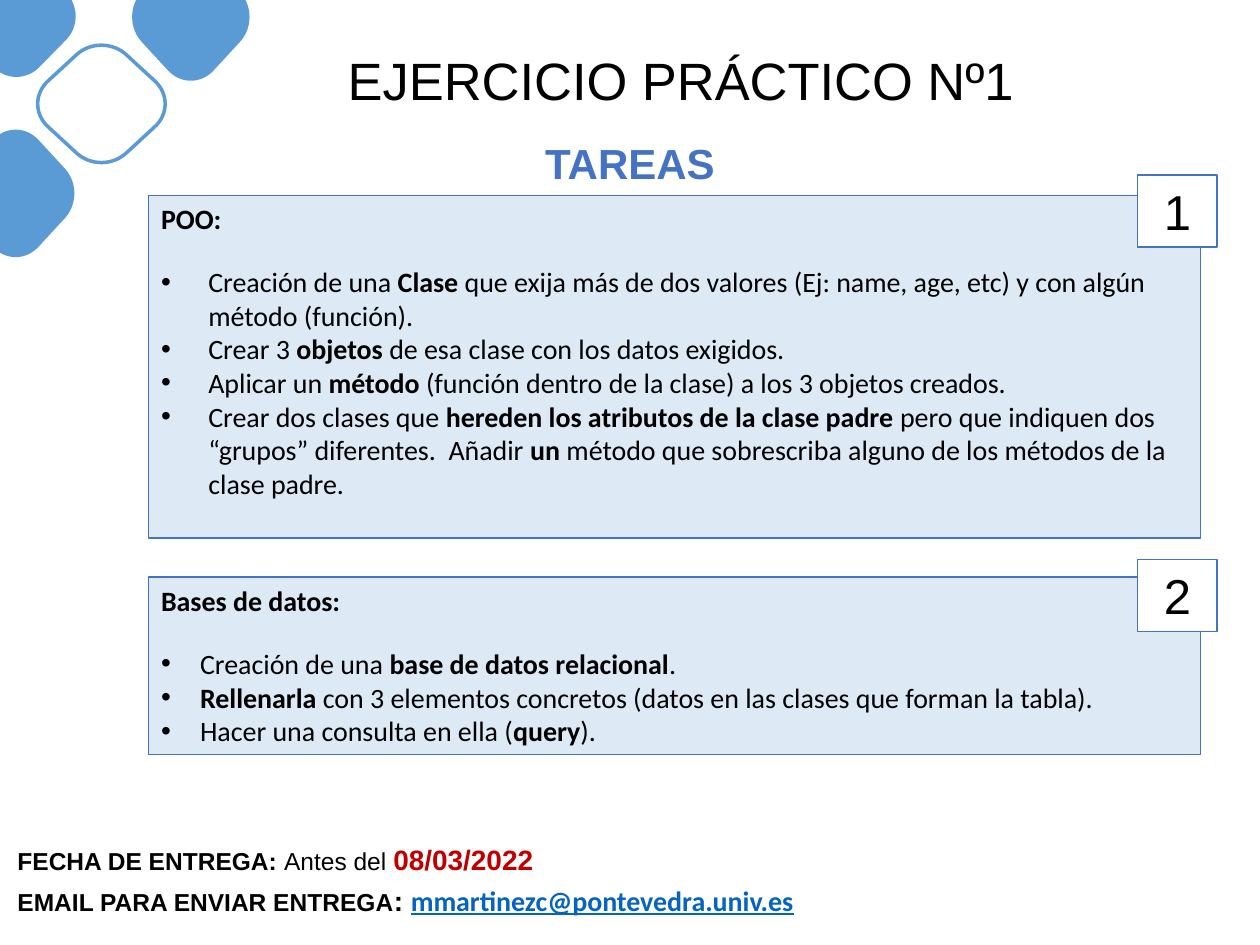
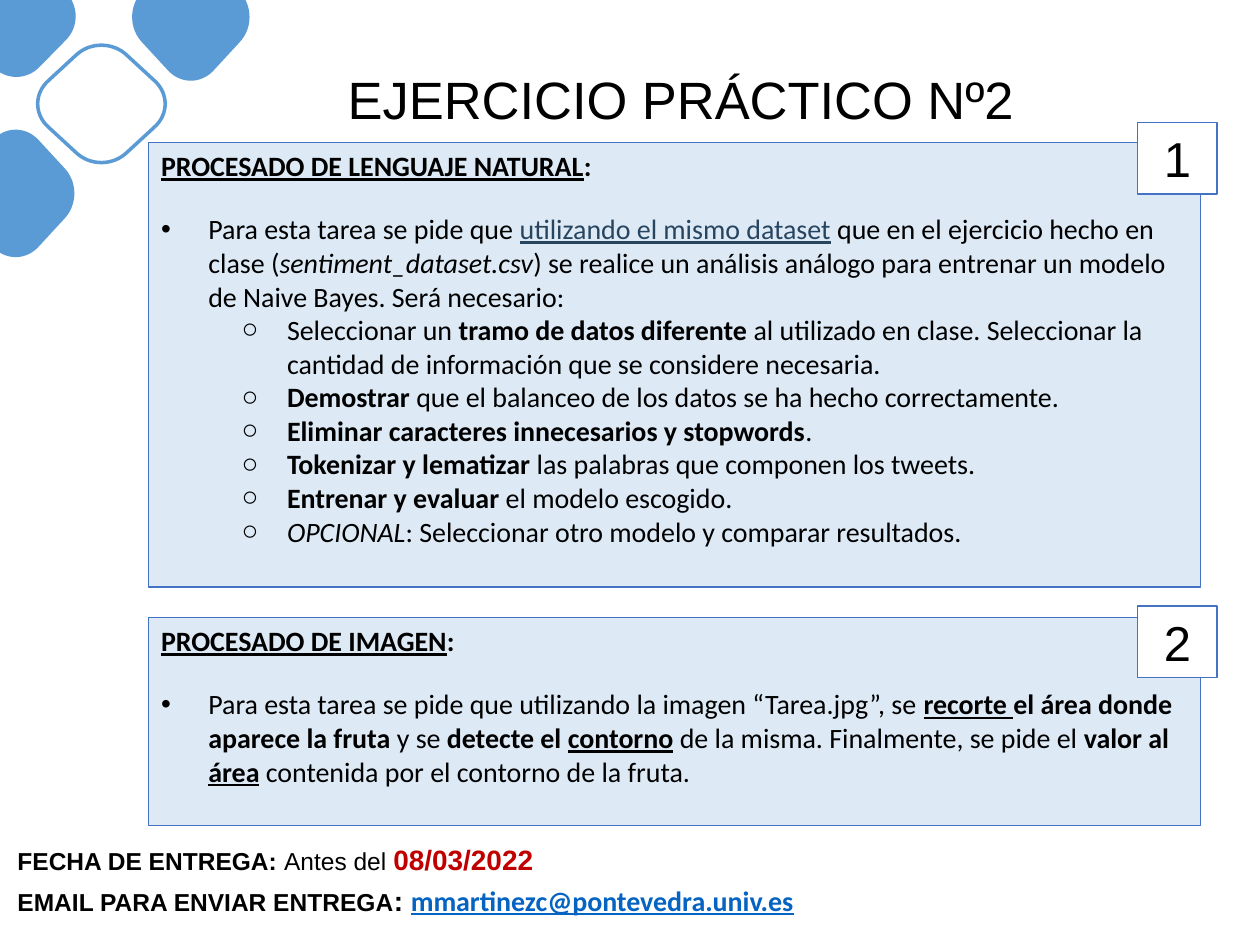
from dataclasses import dataclass
from typing import NamedTuple, Optional

from lxml.etree import SubElement
from pptx import Presentation
from pptx.dml.color import RGBColor
from pptx.enum.shapes import MSO_SHAPE
from pptx.enum.text import MSO_ANCHOR, PP_ALIGN
from pptx.oxml.ns import qn
from pptx.shapes.autoshape import Shape
from pptx.slide import Slide
from pptx.text.text import TextFrame
from pptx.util import Inches, Pt


@dataclass(frozen=True)
class Theme:
    heading_font: str = "Arial"
    body_font: str = "Calibri"
    black: str = "000000"
    white: str = "FFFFFF"
    petal: str = "5B9BD5"
    accent: str = "4472C4"
    panel: str = "DDEAF6"
    deadline: str = "C00000"
    email: str = "0563C1"
    dataset: str = "284560"
    title_size: int = 30
    badge_size: int = 28
    subtitle_size: int = 24
    body_size: int = 16
    footer_size: int = 14
    heading_gap: int = 17
    outline: float = 0.75
    petal_outline: float = 2


THEME = Theme()


class Box(NamedTuple):
    left: float
    top: float
    width: float
    height: float


class Run(NamedTuple):
    text: str
    bold: Optional[bool] = None
    italic: Optional[bool] = None
    underline: Optional[bool] = None
    color: Optional[str] = None
    size: Optional[int] = None
    font: Optional[str] = None


class Bullet(NamedTuple):
    symbol: str
    margin: float
    hanging: float
    level: int = 0


class Style(NamedTuple):
    size: int
    font: str = THEME.heading_font
    color: str = THEME.black
    bold: bool = False
    align: PP_ALIGN = PP_ALIGN.LEFT
    bullet: Optional[Bullet] = None
    line_spacing: Optional[float] = None
    space_after: float = 0


class Petal(NamedTuple):
    box: Box
    filled: bool = True


class Item(NamedTuple):
    runs: list[Run]
    bullet: Bullet


class Task(NamedTuple):
    heading: list[Run]
    items: list[Item]
    top: float
    height: float
    badge_top: float


class Exercise(NamedTuple):
    title: str
    title_top: float
    tasks: list[Task]
    subtitle: Optional[str] = None


def bold(text: str, underline: Optional[bool] = None) -> Run:
    return Run(text, bold=True, underline=underline)


# Text styles and bullets
DOT = Bullet("•", 3 / 8, 3 / 8)
NARROW_DOT = Bullet("•", 0.31, 0.31)
CIRCLE = Bullet("○", 1, 0.36, level=1)
TITLE = Style(THEME.title_size, align=PP_ALIGN.CENTER, line_spacing=0.9)
SUBTITLE = Style(THEME.subtitle_size, color=THEME.accent, bold=True, align=PP_ALIGN.CENTER)
BADGE = Style(THEME.badge_size, align=PP_ALIGN.CENTER)
FOOTER = Style(THEME.footer_size, bold=True)
TASK_HEADING = Style(THEME.body_size, THEME.body_font, bold=True, space_after=THEME.heading_gap)
TASK_ITEM = Style(THEME.body_size, THEME.body_font)

# Shared decoration and footer
BACKING = Box(0.48, 0.55, 0.8, 0.16)
PETALS = [
    Petal(Box(-0.34, 1.03, 0.93, 1.01)),
    Petal(Box(0.3, 0.36, 1.01, 0.93), filled=False),
    Petal(Box(1.05, -0.37, 0.93, 1.01)),
    Petal(Box(-0.34, -0.35, 0.94, 0.96)),
]
# Top corner of a petal, in units of its half width and half height from its centre
PETAL_CORNER = [(-0.4, -0.83), (-0.18, -1.06), (0.18, -1.06), (0.4, -0.83)]
FOOTERS = [
    (Box(0.04, 6.64, 4.39, 0.37), [
        Run("FECHA DE ENTREGA: "),
        Run("Antes del ", bold=False),
        Run("08/03/2022", color=THEME.deadline, size=THEME.body_size)]),
    (Box(0.04, 6.96, 7.22, 0.61), [
        Run("EMAIL PARA ENVIAR ENTREGA"),
        Run(": ", size=THEME.body_size),
        Run("mmartinezc@pontevedra.univ.es", underline=True, color=THEME.email,
            size=THEME.body_size, font=THEME.body_font)]),
]

# Content of each slide
EXERCISES = [
    Exercise("EJERCICIO PRÁCTICO Nº1", 0.43, subtitle="TAREAS", tasks=[
        Task([Run("POO:")], [
            Item([Run("Creación de una "), bold("Clase"),
                  Run(" que exija más de dos valores (Ej: name, age, etc) y con algún método (función).")], DOT),
            Item([Run("Crear 3 "), bold("objetos"), Run(" de esa clase con los datos exigidos.")], DOT),
            Item([Run("Aplicar un "), bold("método "),
                  Run("(función dentro de la clase) a los 3 objetos creados.")], DOT),
            Item([Run("Crear dos clases que "), bold("hereden los atributos de la clase padre "),
                  Run("pero que indiquen dos “grupos” diferentes.  Añadir"), bold(" un"),
                  Run(" método que sobrescriba alguno de los métodos de la clase padre.")], DOT),
        ], top=1.55, height=2.72, badge_top=1.39),
        Task([Run("Bases de datos:")], [
            Item([Run("Creación de una "), bold("base de datos relacional"), Run(".")], NARROW_DOT),
            Item([bold("Rellenarla"),
                  Run(" con 3 elementos concretos (datos en las clases que forman la tabla).")], NARROW_DOT),
            Item([Run("Hacer una consulta en ella ("), bold("query"), Run(").")], NARROW_DOT),
        ], top=4.58, height=1.41, badge_top=4.44),
    ]),
    Exercise("EJERCICIO PRÁCTICO Nº2", 0.58, tasks=[
        Task([Run("PROCESADO DE LENGUAJE NATURAL", underline=True), Run(":")], [
            Item([Run("Para esta tarea se pide que "),
                  Run("utilizando el mismo dataset", underline=True, color=THEME.dataset),
                  Run(" que en el ejercicio hecho en clase ("),
                  Run("sentiment_dataset.csv", italic=True),
                  Run(") se realice un análisis análogo para entrenar un modelo de Naive Bayes. "
                      "Será necesario:")], DOT),
            Item([Run("Seleccionar un "), bold("tramo de datos diferente"),
                  Run(" al utilizado en clase. Seleccionar la cantidad de información "
                      "que se considere necesaria.")], CIRCLE),
            Item([bold("Demostrar"),
                  Run(" que el balanceo de los datos se ha hecho correctamente.")], CIRCLE),
            Item([bold("Eliminar caracteres innecesarios y stopwords"), Run(".")], CIRCLE),
            Item([bold("Tokenizar y lematizar"),
                  Run(" las palabras que componen los tweets.")], CIRCLE),
            Item([bold("Entrenar y evaluar"), Run(" el modelo escogido.")], CIRCLE),
            Item([Run("OPCIONAL", italic=True),
                  Run(": Seleccionar otro modelo y comparar resultados.")], CIRCLE),
        ], top=1.13, height=3.53, badge_top=0.97),
        Task([Run("PROCESADO DE IMAGEN", underline=True), Run(":")], [
            Item([Run("Para esta tarea se pide que utilizando la imagen “Tarea.jpg”, se "),
                  bold("recorte ", underline=True), bold("el área donde aparece la fruta"),
                  Run(" y se "), bold("detecte el "), bold("contorno", underline=True),
                  Run(" de la misma. Finalmente, se pide el "), bold("valor al "),
                  bold("área", underline=True),
                  Run(" contenida por el contorno de la fruta.")], DOT),
        ], top=4.9, height=1.65, badge_top=4.81),
    ]),
]


def paint(shape: Shape, fill: str, line: Optional[str], width: float = THEME.outline) -> None:
    shape.shadow.inherit = False
    shape.fill.solid()
    shape.fill.fore_color.rgb = RGBColor.from_string(fill)
    if line is None:
        shape.line.fill.background()
    else:
        shape.line.color.rgb = RGBColor.from_string(line)
        shape.line.width = Pt(width)


def write_paragraph(frame: TextFrame, runs: list[Run], style: Style, first: bool = True) -> None:
    paragraph = frame.paragraphs[0] if first else frame.add_paragraph()
    paragraph.alignment = style.align
    paragraph.space_after = Pt(style.space_after)
    if style.line_spacing:
        paragraph.line_spacing = style.line_spacing
    if style.bullet:
        paragraph.level = style.bullet.level
        properties = paragraph._p.get_or_add_pPr()
        properties.set("marL", str(Inches(style.bullet.margin)))
        properties.set("indent", str(-Inches(style.bullet.hanging)))
        bullet_color = SubElement(properties, qn("a:buClr"))
        SubElement(bullet_color, qn("a:srgbClr"), val=style.color)
        SubElement(properties, qn("a:buFont"), typeface=THEME.heading_font)
        SubElement(properties, qn("a:buChar"), char=style.bullet.symbol)
    paragraph.font.name = style.font
    paragraph.font.size = Pt(style.size)
    paragraph.font.bold = style.bold
    paragraph.font.color.rgb = RGBColor.from_string(style.color)
    for part in runs:
        run = paragraph.add_run()
        run.text = part.text
        run.font.bold, run.font.italic = part.bold, part.italic
        run.font.underline = part.underline
        if part.font:
            run.font.name = part.font
        if part.size:
            run.font.size = Pt(part.size)
        if part.color:
            run.font.color.rgb = RGBColor.from_string(part.color)


def add_text(slide: Slide, box: Box, runs: list[Run], style: Style,
             anchor: MSO_ANCHOR = MSO_ANCHOR.TOP) -> None:
    frame = slide.shapes.add_textbox(*map(Inches, box)).text_frame
    frame.word_wrap = True
    frame.vertical_anchor = anchor
    write_paragraph(frame, runs, style)


def add_rectangle(slide: Slide, box: Box, fill: str, line: str = THEME.accent) -> TextFrame:
    shape = slide.shapes.add_shape(MSO_SHAPE.RECTANGLE, *map(Inches, box))
    paint(shape, fill, line)
    frame = shape.text_frame
    frame.word_wrap = True
    frame.vertical_anchor = MSO_ANCHOR.TOP
    return frame


def add_petal(slide: Slide, petal: Petal) -> None:
    left, top, width, height = map(Inches, petal.box)
    middle_x, middle_y = width // 2, height // 2
    builder = slide.shapes.build_freeform(left + middle_x, top)
    builder.add_line_segments([(left + width, top + middle_y), (left + middle_x, top + height),
                               (left, top + middle_y)])
    shape = builder.convert_to_shape()

    # Round the four corners of the diamond with cubic curves
    outline = next(shape._element.iter(qn("a:path")))
    for segment in list(outline):
        outline.remove(segment)

    def add_segment(tag: str, points: list[tuple[float, float]]) -> None:
        segment = SubElement(outline, qn(tag))
        for x, y in points:
            SubElement(segment, qn("a:pt"), x=str(round(middle_x * (1 + x))),
                       y=str(round(middle_y * (1 + y))))

    corner = PETAL_CORNER
    for index in range(4):
        add_segment("a:lnTo" if index else "a:moveTo", corner[:1])
        add_segment("a:cubicBezTo", corner[1:])
        corner = [(-y, x) for x, y in corner]
    SubElement(outline, qn("a:close"))
    if petal.filled:
        paint(shape, THEME.petal, None)
    else:
        paint(shape, THEME.white, THEME.petal, THEME.petal_outline)


def add_task(slide: Slide, number: int, task: Task) -> None:
    frame = add_rectangle(slide, Box(1.18, task.top, 8.35, task.height), THEME.panel)
    write_paragraph(frame, task.heading, TASK_HEADING)
    for item in task.items:
        write_paragraph(frame, item.runs, TASK_ITEM._replace(bullet=item.bullet), first=False)
    badge = add_rectangle(slide, Box(9.03, task.badge_top, 0.63, 0.57), THEME.white)
    write_paragraph(badge, [Run(str(number))], BADGE)


def add_exercise(slide: Slide, exercise: Exercise) -> None:
    add_rectangle(slide, BACKING, THEME.white, THEME.white)
    for petal in PETALS:
        add_petal(slide, petal)
    add_text(slide, Box(2.21, exercise.title_top, 6.39, 0.47), [Run(exercise.title)],
             TITLE, MSO_ANCHOR.MIDDLE)
    for box, runs in FOOTERS:
        add_text(slide, box, runs, FOOTER)
    if exercise.subtitle:
        add_text(slide, Box(4.15, 1.04, 1.7, 0.5), [Run(exercise.subtitle)], SUBTITLE)
    for number, task in enumerate(exercise.tasks, start=1):
        add_task(slide, number, task)


def main() -> None:
    presentation = Presentation()
    presentation.slide_width, presentation.slide_height = Inches(10), Inches(7.5)
    blank_layout = presentation.slide_layouts[6]
    for exercise in EXERCISES:
        add_exercise(presentation.slides.add_slide(blank_layout), exercise)
    presentation.save("out.pptx")


if __name__ == "__main__":
    main()
